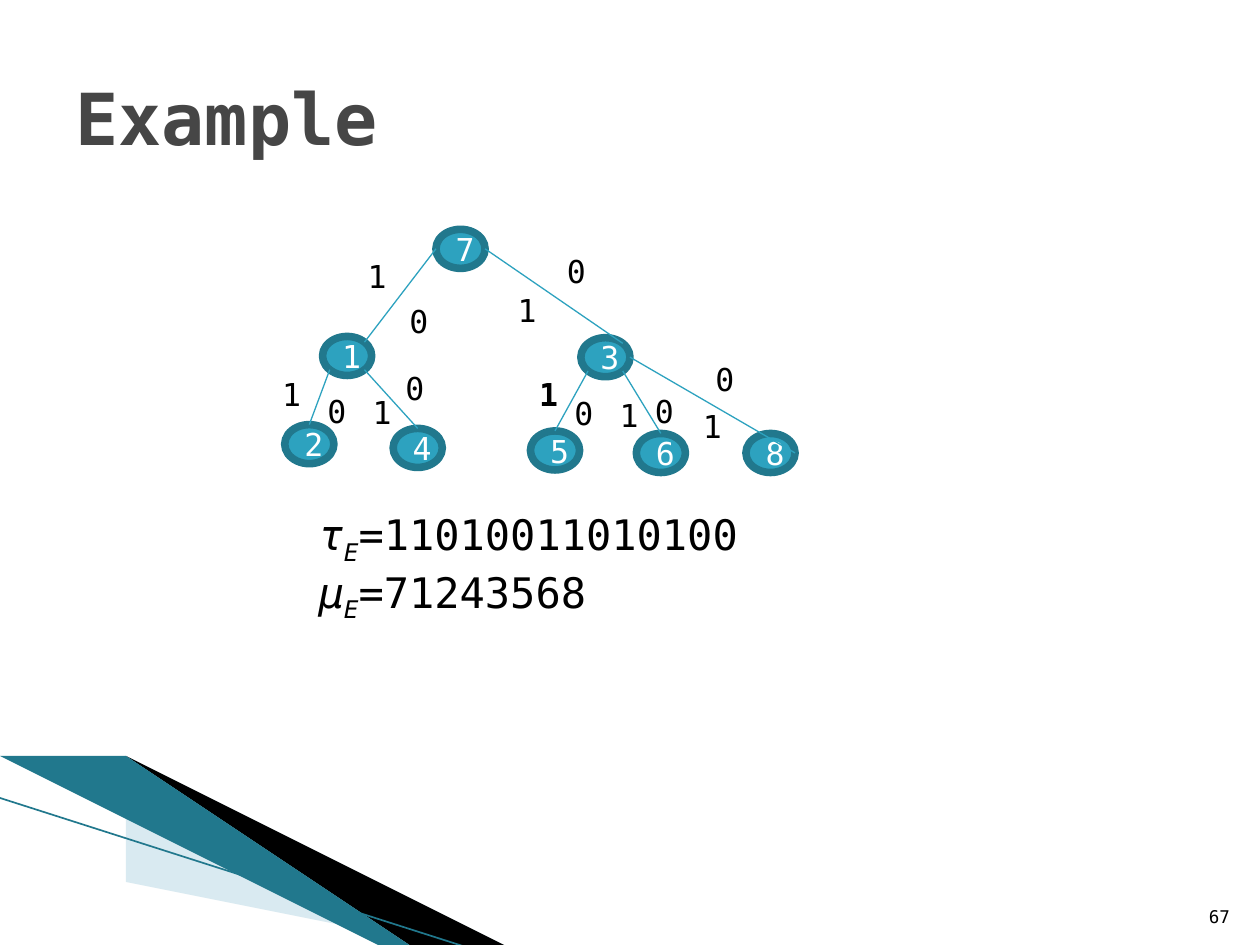
import math

import pptx
import pptx.dml.color
import pptx.enum.shapes
import pptx.enum.text
import pptx.oxml
import pptx.util
from lxml import etree
from pptx.oxml.ns import qn
from pptx.util import Inches

FONT = "DejaVu Sans Mono"
NODE_W, NODE_H = 0.39, 0.31
ALIGN = pptx.enum.text.PP_ALIGN
ANCHOR = pptx.enum.text.MSO_ANCHOR

# Left and top of each tree node
NODES = {
    "1": (2.56, 2.67), "3": (4.61, 2.68), "2": (2.26, 3.37), "5": (4.21, 3.42),
    "6": (5.05, 3.44), "4": (3.12, 3.4), "7": (3.46, 1.82), "8": (5.92, 3.44),
}

# Points on a node's outline, as angles clockwise from the right
SITES = {"right": 0, "lower right": 45, "lower left": 135,
         "left": 180, "top": 270, "upper right": 315}

# Parent, its site, child, its site
EDGES = [
    ("1", "lower left", "2", "top"),
    ("1", "lower right", "4", "top"),
    ("3", "lower left", "5", "top"),
    ("3", "lower right", "6", "top"),
    ("7", "left", "1", "upper right"),
    ("7", "right", "3", "upper right"),
    ("3", "right", "8", "right"),
]

# Bits written down and up each edge: text, left, top
BITS = [
    ("1", 2.82, 1.99), ("1", 2.14, 2.93), ("0", 2.5, 3.06), ("1", 2.86, 3.07),
    ("0", 3.12, 2.88), ("0", 3.15, 2.35), ("1", 4.01, 2.26), ("1", 4.18, 2.93),
    ("0", 4.46, 3.08), ("1", 4.82, 3.09), ("0", 5.1, 3.06), ("1", 5.48, 3.18),
    ("0", 5.58, 2.81), ("0", 4.4, 1.95),
]
BOLD_BIT = ("1", 4.18, 2.93)


def rgb(color):
    return pptx.dml.color.RGBColor.from_string(color)


def add_run(p, text, size=18, color="000000", bold=False, italic=False, base=0):
    r = p.add_run()
    r.text = text
    r.font.name = FONT
    r.font.size = pptx.util.Pt(size)
    r.font.color.rgb = rgb(color)
    r.font.bold = bold
    r.font.italic = italic
    if base:
        r.font._element.set("baseline", str(base * 1000))


def add_text(s, text, x, y, w, h, align=ALIGN.LEFT, anchor=ANCHOR.TOP,
             wrap=True, **style):
    tf = s.shapes.add_textbox(Inches(x), Inches(y), Inches(w), Inches(h)).text_frame
    tf.word_wrap = wrap
    tf.vertical_anchor = anchor
    p = tf.paragraphs[0]
    p.alignment = align
    if text:
        add_run(p, text, **style)
    return tf


def add_wedge(s, points, color, alpha=None):
    builder = s.shapes.build_freeform(*points[0], scale=Inches(1))
    builder.add_line_segments(points[1:], close=True)
    sp = builder.convert_to_shape()
    sp.shadow.inherit = False
    sp.fill.solid()
    sp.fill.fore_color.rgb = rgb(color)
    sp.line.fill.background()
    if alpha is not None:
        clr = sp.fill._xPr.find(".//" + qn("a:srgbClr"))
        etree.SubElement(clr, qn("a:alpha")).set("val", str(alpha * 1000))


def add_line(s, start, end, color, width):
    line = s.shapes.add_connector(
        pptx.enum.shapes.MSO_CONNECTOR.STRAIGHT,
        *(Inches(v) for v in (*start, *end)))
    line.line.color.rgb = rgb(color)
    line.line.width = pptx.util.Pt(width)
    etree.SubElement(line._element.spPr, qn("a:effectLst"))


def add_node(s, label, x, y):
    sp = s.shapes.add_shape(pptx.enum.shapes.MSO_SHAPE.OVAL, Inches(x), Inches(y),
                            Inches(NODE_W), Inches(NODE_H))
    sp.shadow.inherit = False
    sp.fill.solid()
    sp.fill.fore_color.rgb = rgb("2DA2BF")
    sp.line.color.rgb = rgb("21788D")
    sp.line.width = pptx.util.Pt(4.33)
    tf = sp.text_frame
    tf.vertical_anchor = ANCHOR.MIDDLE
    p = tf.paragraphs[0]
    p.alignment = ALIGN.CENTER
    add_run(p, label, color="FFFFFF")


def node_point(label, site):
    x, y = NODES[label]
    angle = math.radians(SITES[site])
    return (x + NODE_W / 2 * (1 + math.cos(angle)),
            y + NODE_H / 2 * (1 + math.sin(angle)))


def add_formula(p, symbol, equals_italic, value):
    add_run(p, symbol, size=24, italic=True)
    add_run(p, "E", size=24, italic=True, base=-25)
    add_run(p, "=", size=24, italic=equals_italic)
    add_run(p, value, size=24)


def main():
    prs = pptx.Presentation()
    prs.slide_width, prs.slide_height = Inches(10), Inches(7.5)
    s = prs.slides.add_slide(prs.slide_layouts[6])

    # Corner decoration
    add_wedge(s, [(0.55, 6.51), (5.95, 7.51), (4.56, 7.51), (0.55, 6.5)],
              "A0CBDC", alpha=40)
    add_wedge(s, [(0.53, 6.49), (4.57, 7.51), (3.72, 7.52), (0.54, 6.5)], "000000")
    # The band narrows to the left edge of the slide
    add_wedge(s, [(-0.01, 6.33), (0.54, 6.5), (3.72, 7.52)], "21788D")
    add_line(s, (-0.01, 6.33), (3.71, 7.52), "21788D", 0.95)

    # Slide number and title
    add_text(s, "67", 9.46, 7.01, 0.4, 0.4, align=ALIGN.RIGHT,
             anchor=ANCHOR.BOTTOM, wrap=False, size=10)
    add_text(s, "Example", 0.5, 0.3, 9, 1.25, anchor=ANCHOR.MIDDLE,
             size=41, color="464646", bold=True)

    # Tree
    for label, (x, y) in NODES.items():
        add_node(s, label, x, y)
    for parent, start, child, end in EDGES:
        add_line(s, node_point(parent, start), node_point(child, end), "2DA2BF", 0.75)

    # Encodings
    tf = add_text(s, "", 2.43, 3.99, 3.78, 0.91)
    add_formula(tf.paragraphs[0], "τ", True, "11010011010100")
    add_formula(tf.add_paragraph(), "μ", False, "71243568")

    # Edge bits
    for bit in BITS:
        text, x, y = bit
        add_text(s, text, x, y, 0.36, 0.4, wrap=False, bold=bit == BOLD_BIT)

    prs.save("out.pptx")


if __name__ == "__main__":
    main()
